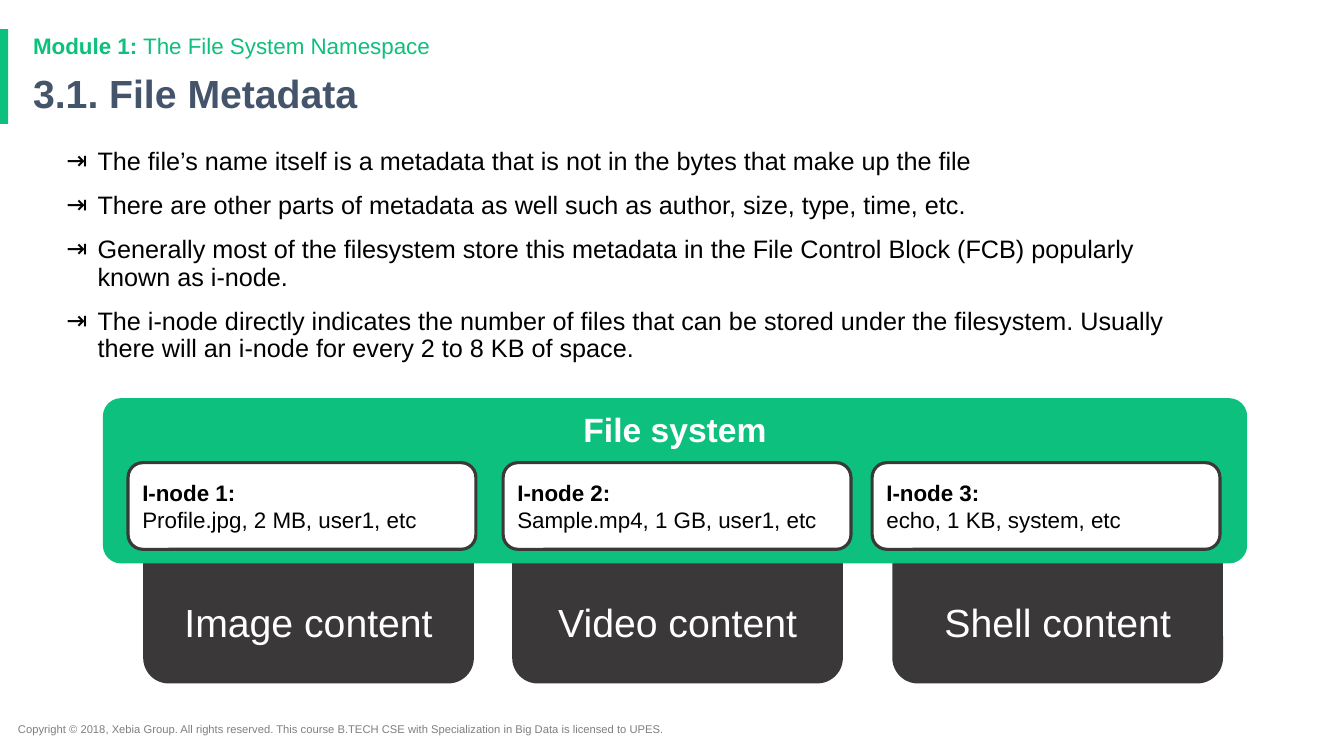
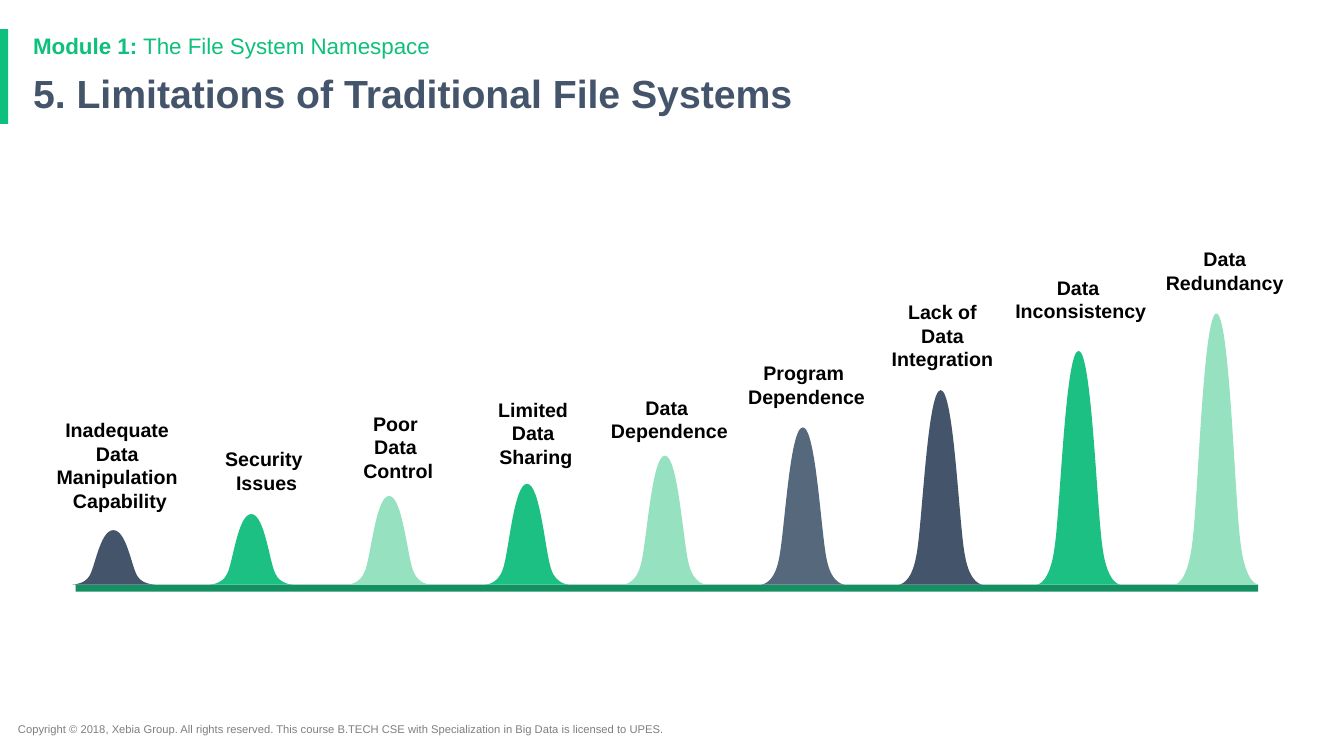
from copy import deepcopy

from lxml import etree
from pptx import Presentation
from pptx.dml.color import RGBColor
from pptx.enum.shapes import MSO_SHAPE
from pptx.enum.text import MSO_ANCHOR, PP_ALIGN
from pptx.oxml.ns import qn
from pptx.util import Pt

PX = 9144  # EMU per px, 100 px to the inch
FONT = "Arial"
COLORS = {
    "green": "0EC07D",
    "dark_green": "149062",
    "mid_green": "1CC083",
    "pale_green": "96E2C0",
    "navy": "44546A",
    "slate": "56687C",
    "charcoal": "3A3838",
    "gray": "7F7F7F",
    "white": "FFFFFF",
    "black": "000000",
}
RECT, ROUNDED = MSO_SHAPE.RECTANGLE, MSO_SHAPE.ROUNDED_RECTANGLE
LEFT, CENTER = PP_ALIGN.LEFT, PP_ALIGN.CENTER
TOP, MIDDLE, BOTTOM = MSO_ANCHOR.TOP, MSO_ANCHOR.MIDDLE, MSO_ANCHOR.BOTTOM

MODULE = ("Module 1:", " The File System Namespace")
COPYRIGHT = ("Copyright © 2018, Xebia Group. All rights reserved. This course B.TECH CSE "
             "with Specialization in Big Data is licensed to UPES.")

METADATA_POINTS = [
    "The file’s name itself is a metadata that is not in the bytes that make up the file",
    "There are other parts of metadata as well such as author, size, type, time, etc.",
    "Generally most of the filesystem store this metadata in the File Control Block (FCB) "
    "popularly known as i-node.",
    "The i-node directly indicates the number of files that can be stored under the filesystem. "
    "Usually there will an i-node for every 2 to 8 KB of space.",
]
# content, its offset, i-node, its details, its offset
FILES = [
    ("Image content", 40, "I-node 1:", "Profile.jpg, 2 MB, user1, etc", 25),
    ("Video content", 406, "I-node 2:", "Sample.mp4, 1 GB, user1, etc", 397),
    ("Shell content", 783, "I-node 3:", "echo, 1 KB, system, etc", 763),
]
# label (\v breaks a line, \n a paragraph), its left, top and width, peak height, peak color
LIMITATIONS = [
    ("Inadequate \vData \vManipulation \vCapability", 46, 409, 146, 54, "navy"),
    ("Security \vIssues", 213, 438, 103, 70, "mid_green"),
    ("Poor \vData \vControl", 350, 403, 90, 88, "pale_green"),
    ("Limited \vData \vSharing", 484, 389, 95, 100, "mid_green"),
    ("Data \vDependence", 596, 387, 136, 128, "pale_green"),
    ("Program \vDependence", 732, 353, 136, 156, "slate"),
    ("Lack of \vData \vIntegration ", 874, 292, 127, 193, "navy"),
    ("Data \vInconsistency", 997, 268, 150, 232, "mid_green"),
    ("Data \nRedundancy ", 1146, 240, 143, 269, "pale_green"),
]
# Left half of a peak as cubic curve points, in shares of its width and height
PEAK_RISE = [(0, 1), (0, 1), (0.15, 1), (0.21, 0.85), (0.28, 0.7), (0.34, 0), (0.5, 0)]


def rgb(name):
    return RGBColor.from_string(COLORS[name])


def emu(*lengths):
    return [round(length * PX) for length in lengths]


def style_run(run, size, color, bold=False):
    run.font.name = FONT
    run.font.size = Pt(size)
    run.font.bold = bold
    run.font.color.rgb = rgb(color)


def write(shape, text, size, color, bold=False, align=LEFT, anchor=TOP, spacing=None, wrap=True):
    """Fill a shape with evenly styled text and return its paragraphs."""
    frame = shape.text_frame
    frame.text = text
    frame.word_wrap = wrap
    frame.vertical_anchor = anchor
    for paragraph in frame.paragraphs:
        paragraph.alignment = align
        paragraph.line_spacing = spacing
        for run in paragraph.runs:
            style_run(run, size, color, bold)
        for line_break in paragraph._p.findall(qn("a:br")):
            line_break.append(deepcopy(paragraph.runs[0]._r.rPr))
    return frame.paragraphs


def text_box(slide, box, text, size, color, **style):
    return write(slide.shapes.add_textbox(*emu(*box)), text, size, color, **style)


def finish(shape, fill, line=None):
    shape.shadow.inherit = False
    shape.fill.solid()
    shape.fill.fore_color.rgb = rgb(fill)
    if line:
        shape.line.color.rgb = rgb(line)
        shape.line.width = Pt(2.25)
    else:
        shape.line.fill.background()
    return shape


def block(slide, kind, box, fill, line=None, rounding=None):
    shape = finish(slide.shapes.add_shape(kind, *emu(*box)), fill, line)
    if rounding is not None:
        shape.adjustments[0] = rounding
    return shape


def add_bullet(paragraph, char, indent):
    properties = paragraph._p.get_or_add_pPr()
    properties.set("marL", str(indent * PX))
    properties.set("indent", str(-indent * PX))
    color = etree.SubElement(properties, qn("a:buClr"))
    etree.SubElement(color, qn("a:srgbClr"), val=COLORS["black"])
    etree.SubElement(properties, qn("a:buFont"), typeface=FONT)
    etree.SubElement(properties, qn("a:buChar"), char=char)


def course_slide(deck, title):
    """Add a slide with the accent band, module line, title and copyright line."""
    slide = deck.slides.add_slide(deck.slide_layouts[6])
    block(slide, RECT, (0, 29, 8, 94), "green")
    text_box(slide, (8, 712, 713, 24), COPYRIGHT, 8, "gray")
    text_box(slide, (23, 69, 1150, 54), title, 28, "navy", bold=True, spacing=0.9)
    number, topic = MODULE
    module = text_box(slide, (23, 30, 1150, 33), number, 16, "green", bold=True, spacing=0.9)[0]
    topic_run = module.add_run()
    topic_run.text = topic
    style_run(topic_run, 16, "green")
    return slide


def bullet_list(slide, box, points):
    paragraphs = text_box(slide, box, "\n".join(points), 18, "black", spacing=0.9)
    for index, paragraph in enumerate(paragraphs):
        add_bullet(paragraph, "⇥", 31)
        if index:
            paragraph.space_before = Pt(12)


def file_system_diagram(slide, left, top, width, height):
    """Draw the file system panel with its i-nodes over the contents they describe."""
    for content, offset, *_ in FILES:
        tab = block(slide, ROUNDED, (left + offset, top + 134, 328, 149), "charcoal",
                    rounding=0.17)
        tab.text_frame.margin_top = tab.text_frame.margin_bottom = 30 * PX
        write(tab, content, 28, "white", align=CENTER, anchor=BOTTOM)

    panel = block(slide, ROUNDED, (left, top, width, height), "green", rounding=0.11)
    write(panel, "File system", 24, "white", bold=True, align=CENTER)

    for _, _, inode, details, offset in FILES:
        card = block(slide, ROUNDED, (left + offset, top + 64, 345, 86), "white", "charcoal",
                     rounding=0.17)
        heading, _ = write(card, f"{inode}\n{details}", 16, "black", anchor=MIDDLE)
        heading.runs[0].font.bold = True


def peak(slide, left, top, width, height, fill):
    """Draw a symmetric bell of four cubic curves that fills the given box."""
    builder = slide.shapes.build_freeform(*emu(left, top + height))
    corners = [(left + width / 2, top), (left + width, top + height)]
    builder.add_line_segments([emu(*corner) for corner in corners], close=True)
    bell = finish(builder.convert_to_shape(), fill)

    outline = next(bell._element.iter(qn("a:path")))
    for line in outline.findall(qn("a:lnTo")):
        outline.remove(line)
    fall = [(1 - x, y) for x, y in reversed(PEAK_RISE[:-1])]
    points = PEAK_RISE[1:] + fall
    close = outline.find(qn("a:close"))
    for start in range(0, len(points), 3):
        curve = etree.Element(qn("a:cubicBezTo"))
        for x, y in points[start:start + 3]:
            across, down = emu(x * width, y * height)
            etree.SubElement(curve, qn("a:pt"), x=str(across), y=str(down))
        close.addprevious(curve)


def peak_row(slide, left, base, width):
    """Stand evenly spaced, labelled peaks on a base line."""
    peak_width = 83
    pitch = (width - peak_width) / (len(LIMITATIONS) - 1)
    block(slide, RECT, (left + 4, base, width - 4, 7), "dark_green")
    for index, (*_, height, fill) in enumerate(LIMITATIONS):
        peak(slide, left + index * pitch, base - height, peak_width, height, fill)
    for label, label_left, label_top, label_width, *_ in reversed(LIMITATIONS):
        label_height = 10 + 23.5 * len(label.splitlines())
        text_box(slide, (label_left, label_top, label_width, label_height), label, 14, "black",
                 bold=True, align=CENTER, anchor=BOTTOM, wrap=False)


def main():
    deck = Presentation()
    deck.slide_width, deck.slide_height = emu(1333, 750)

    metadata = course_slide(deck, "3.1. File Metadata")
    bullet_list(metadata, (56, 143, 1124, 529), METADATA_POINTS)
    file_system_diagram(metadata, 102, 395, 1135, 164)

    limitations = course_slide(deck, "5. Limitations of Traditional File Systems")
    peak_row(limitations, 71, 580, 1177)

    deck.save("out.pptx")


if __name__ == "__main__":
    main()
